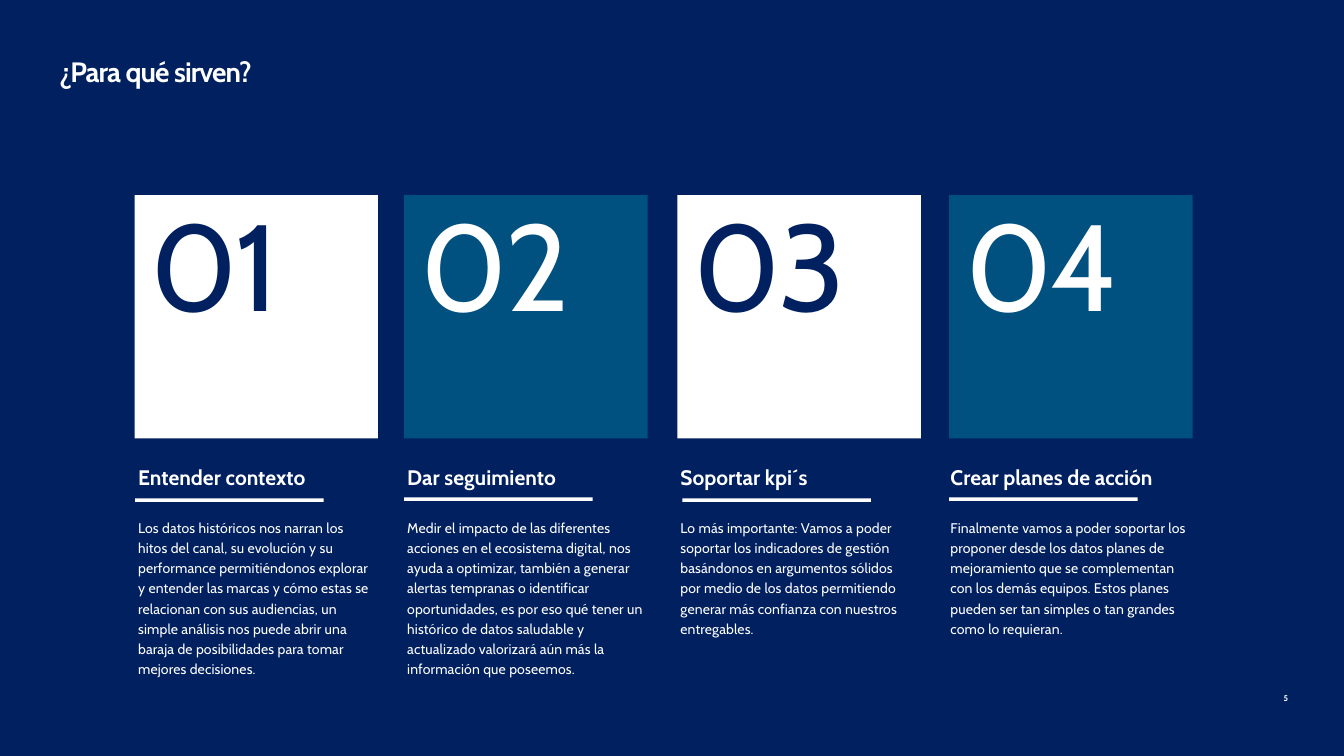
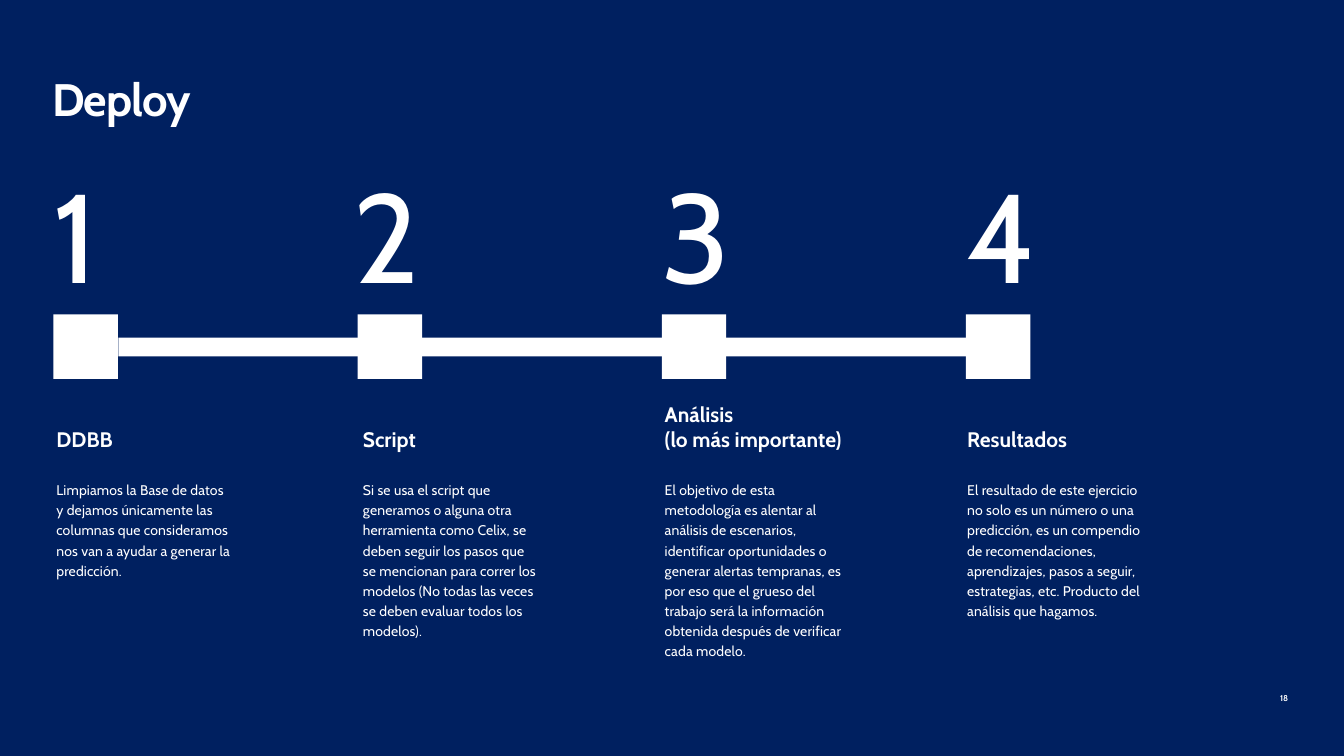
from pptx import Presentation
from pptx.dml.color import RGBColor
from pptx.enum.shapes import MSO_SHAPE
from pptx.enum.text import MSO_ANCHOR, MSO_AUTO_SIZE, PP_ALIGN
from pptx.util import Cm, Pt

RECT = MSO_SHAPE.RECTANGLE
TOP, BOTTOM = MSO_ANCHOR.TOP, MSO_ANCHOR.BOTTOM
GROW, FIXED = MSO_AUTO_SIZE.SHAPE_TO_FIT_TEXT, MSO_AUTO_SIZE.NONE
LEFT, RIGHT = PP_ALIGN.LEFT, PP_ALIGN.RIGHT

NAVY, TEAL, WHITE = "002060", "005180", "FFFFFF"
FONT = "Cabin"
PAD = 0.15
HEAD_W, HEAD_H = 10.08, 2.34
BODY_DROP = 3.38

# heading left, heading width, body width, rule left, rule top, heading, body
CARDS = [
    (6.81, HEAD_W, 12.12, 6.81, 25.12, "Entender contexto",
     "Los datos históricos nos narran los hitos del canal, su evolución y su "
     "performance permitiéndonos explorar y entender las marcas y cómo estas se "
     "relacionan con sus audiencias, un simple análisis nos puede abrir una "
     "baraja de posibilidades para tomar mejores decisiones."),
    (20.37, HEAD_W, 12.27, 20.37, 25.07, "Dar seguimiento",
     "Medir el impacto de las diferentes acciones en el ecosistema digital, nos "
     "ayuda a optimizar, también a generar alertas tempranas o identificar "
     "oportunidades, es por eso qué tener un histórico de datos saludable y "
     "actualizado valorizará aún más la información que poseemos."),
    (34.14, HEAD_W, 11.46, 34.39, 25.12, "Soportar kpi´s",
     "Lo más importante: Vamos a poder soportar los indicadores de gestión "
     "basándonos en argumentos sólidos por medio de los datos permitiendo "
     "generar más confianza con nuestros entregables."),
    (47.75, 12.27, 12.34, 47.83, 25.07, "Crear planes de acción",
     "Finalmente vamos a poder soportar los proponer desde los datos planes de "
     "mejoramiento que se complementan con los demás equipos. Estos planes "
     "pueden ser tan simples o tan grandes como lo requieran."),
]
CARD_X = [6.78, 20.37, 34.14, 47.83]

# digit left, digit width, text left, body height, heading, body
STEPS = [
    (2.69, 10.08, 2.69, 9.07, "DDBB",
     "Limpiamos la Base de datos y dejamos únicamente las columnas que "
     "consideramos nos van a ayudar a generar la predicción."),
    (17.83, 10.08, 18.14, 9.07, "Script",
     "Si se usa el script que generamos o alguna otra herramienta como Celix, se "
     "deben seguir los pasos que se mencionan para correr los modelos (No todas "
     "las veces se deben evaluar todos los modelos)."),
    (33.35, 10.08, 33.35, 10.29, "Análisis\n(lo más importante)",
     "El objetivo de esta metodología es alentar al análisis de escenarios, "
     "identificar oportunidades o generar alertas tempranas, es por eso que el "
     "grueso del trabajo será la información obtenida después de verificar cada "
     "modelo."),
    (48.69, 8.2, 48.59, 9.07, "Resultados",
     "El resultado de este ejercicio no solo es un número o una predicción, es un "
     "compendio de recomendaciones, aprendizajes, pasos a seguir, estrategias, "
     "etc. Producto del análisis que hagamos."),
]


def rgb(code):
    return RGBColor.from_string(code)


def box(slide, x, y, w, h, color):
    shape = slide.shapes.add_shape(RECT, Cm(x), Cm(y), Cm(w), Cm(h))
    shape.shadow.inherit = False
    shape.fill.solid()
    shape.fill.fore_color.rgb = rgb(color)
    shape.line.fill.background()


def label(slide, x, y, w, h, text, size, color=WHITE, bold=False, anchor=TOP,
          pad=PAD, lines=1.0, track=0, align=LEFT, fit=FIXED, wrap=True):
    """Add a text box; track is the letter spacing in points."""
    frame = slide.shapes.add_textbox(Cm(x), Cm(y), Cm(w), Cm(h)).text_frame
    frame.margin_left = frame.margin_right = Cm(pad)
    frame.margin_top = frame.margin_bottom = Cm(pad)
    frame.word_wrap = wrap
    frame.auto_size = fit
    frame.vertical_anchor = anchor
    frame.text = text
    for para in frame.paragraphs:
        para.alignment = align
        para.line_spacing = lines
        for run in para.runs:
            font = run.font
            font.name, font.size, font.bold = FONT, Pt(size), bold
            font.color.rgb = rgb(color)
            if track:
                run.font._element.set("spc", str(round(track * 100)))


def start(deck, page):
    """Add a navy slide with its page number."""
    slide = deck.slides.add_slide(deck.slide_layouts[6])
    slide.background.fill.solid()
    slide.background.fill.fore_color.rgb = rgb(NAVY)
    label(slide, 64.21, 34.87, 0.86, 0.79, page, 12, bold=True, lines=0.8,
          align=RIGHT, fit=GROW, wrap=False)
    return slide


def title(slide, x, y, h, text, size):
    label(slide, x, y, 28.09, h, text, size, bold=True, anchor=BOTTOM,
          lines=0.9, track=-1.3, fit=GROW)


def digit(slide, x, y, w, h, text, size, color=WHITE):
    label(slide, x, y, w, h, text, size, color, anchor=BOTTOM, pad=0,
          lines=0.8, track=-size / 50)


def column(slide, x, y, head, body, head_w, body_w, body_h):
    """Add a heading with its body text below."""
    label(slide, x, y, head_w, HEAD_H, head, 30, bold=True, anchor=BOTTOM)
    label(slide, x, y + BODY_DROP, body_w, body_h, body, 20, lines=1.2, track=0.2)


def uses(deck):
    slide = start(deck, "5")
    title(slide, 2.84, 2.79, 1.83, "¿Para qué sirven?", 40)
    for i, (left, card) in enumerate(zip(CARD_X, CARDS)):
        x, head_w, body_w, rule_x, rule_y, head, body = card
        fill, ink = (TEAL, WHITE) if i % 2 else (WHITE, NAVY)
        box(slide, left, 9.83, 12.27, 12.27, fill)
        digit(slide, left + 0.82, 9.83, 10.64, 7.06, f"{i + 1:02}", 175, ink)
        column(slide, x, 22.48, head, body, head_w, body_w, 9.07)
        box(slide, rule_x, rule_y, 9.5, 0.18, WHITE)


def deploy(deck):
    slide = start(deck, "18")
    title(slide, 2.49, 3.71, 2.79, "Deploy", 65)
    box(slide, 5.97, 17.02, 42.93, 0.94, WHITE)
    for i, (num_x, num_w, x, body_h, head, body) in enumerate(STEPS):
        box(slide, 2.69 + i * 15.33, 15.85, 3.25, 3.25, WHITE)
        digit(slide, num_x, 8.86, num_w, 6.63, str(i + 1), 180)
        column(slide, x, 20.57, head, body, HEAD_W, 9.25, body_h)


def main():
    deck = Presentation()
    deck.slide_width, deck.slide_height = Cm(67.73), Cm(38.1)
    uses(deck)
    deploy(deck)
    deck.save("out.pptx")


if __name__ == "__main__":
    main()
